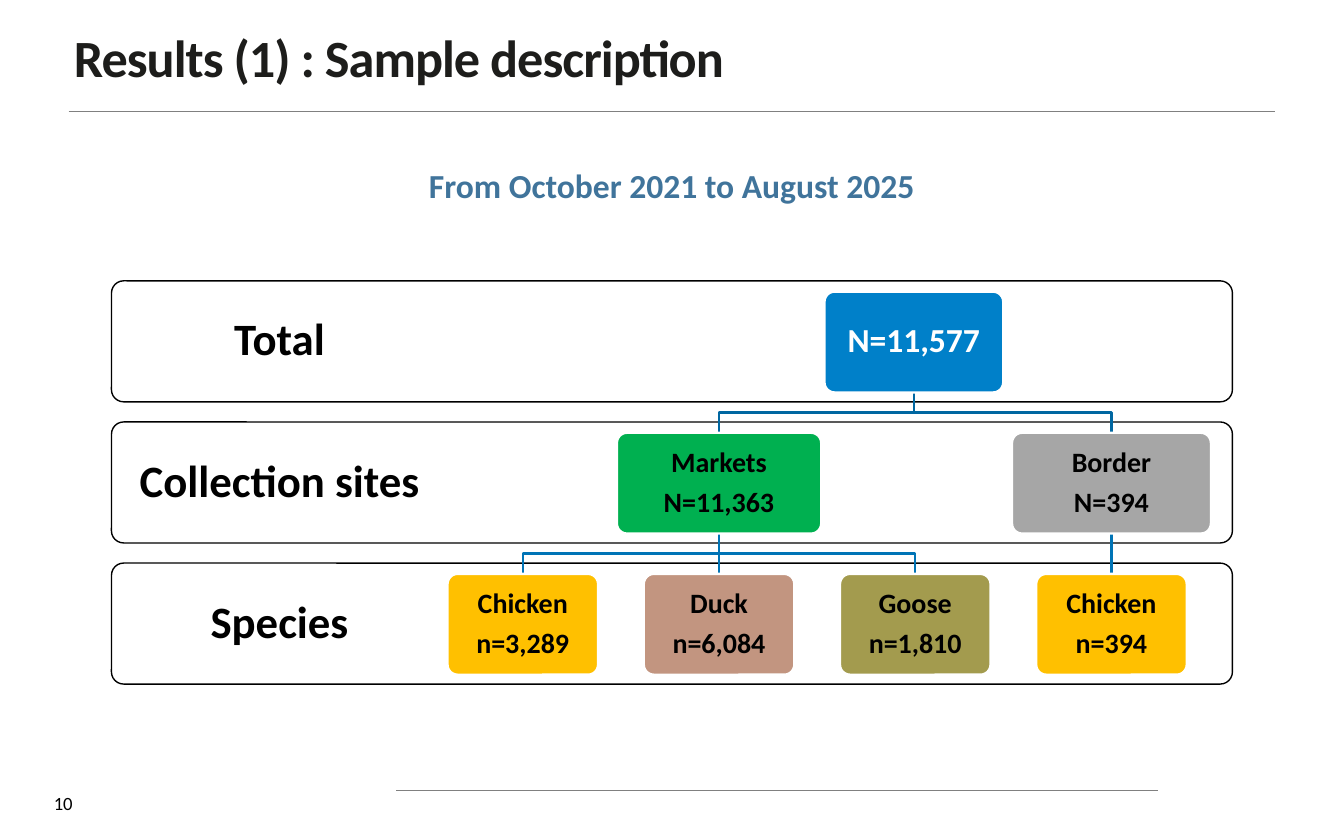
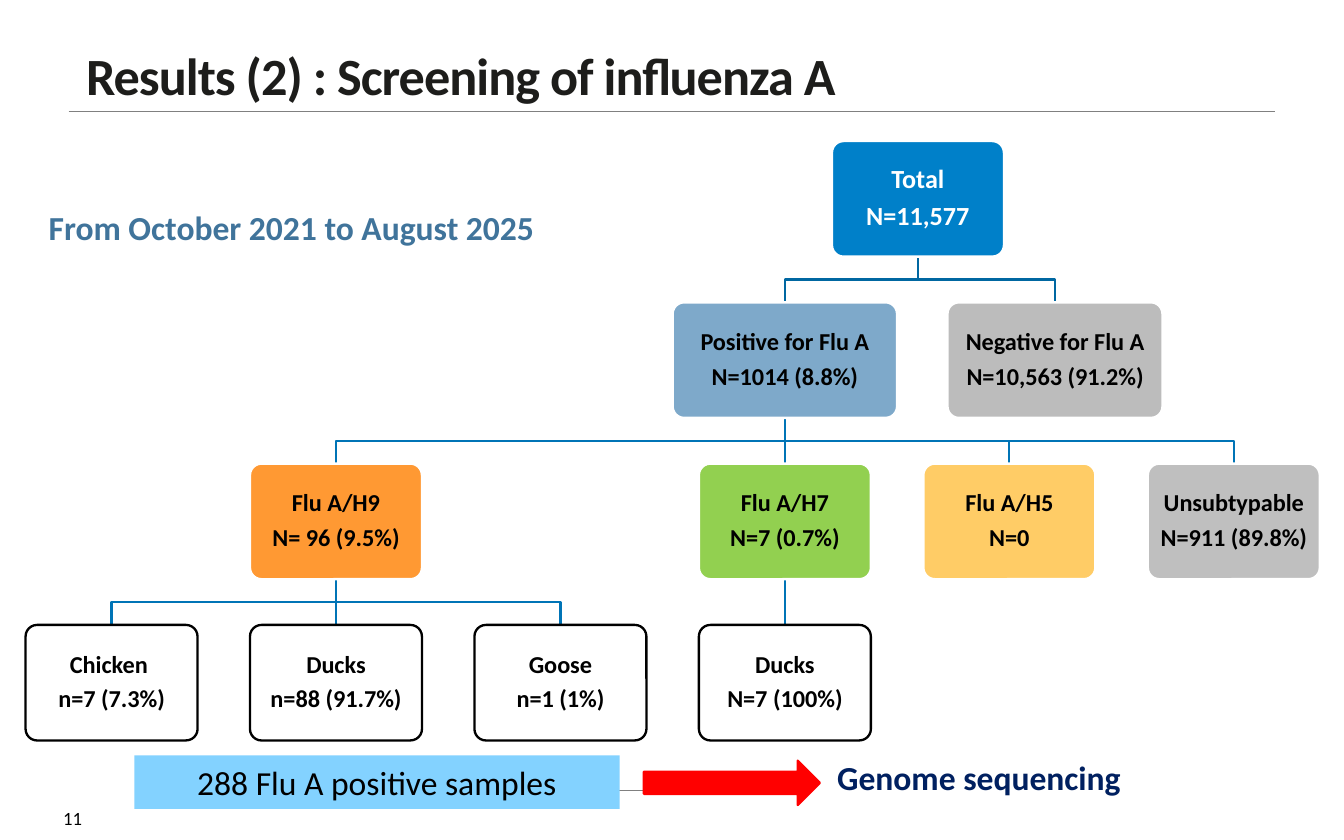
from lxml import etree
from pptx import Presentation
from pptx import util as u
from pptx.dml.color import RGBColor
from pptx.enum import shapes, text
from pptx.oxml import ns

COLORS = {
    "black": "000000", "white": "FFFFFF", "title": "1D1D1B", "rule": "808080",
    "period": "40749B", "navy": "002060", "root": "0080C9",
    "link_top": "0067A1", "link": "0074B6", "market": "00B050",
    "border": "A6A6A6", "chicken": "FFC000", "duck": "C29580", "goose": "A39B4E",
    "positive": "7EA9CA", "negative": "BCBCBC", "h9": "FF9933", "h7": "92D050",
    "h5": "FFCC66", "unsubtyped": "BFBFBF", "samples": "83D2FF", "arrow": "FF0000",
}
FONT = "Calibri"
PERIOD = "From October 2021 to August 2025"
ROUNDING = 0.1
MSO = shapes.MSO_SHAPE
ALIGN = text.PP_ALIGN
ANCHOR = text.MSO_ANCHOR


def rgb(name):
    return RGBColor.from_string(COLORS[name])


def set_all(obj, values):
    for name, value in values.items():
        setattr(obj, name, value)


def inches(*values):
    return [u.Inches(v) for v in values]


# Text and outlines
def write(sp, content, size, color="black", bold=True, align=ALIGN.CENTER,
          anchor=ANCHOR.MIDDLE, inset=None, spacing=None, after=0):
    """Fill a shape with one paragraph per line of content."""
    tf = sp.text_frame
    set_all(tf, {"word_wrap": True, "vertical_anchor": anchor,
                 "auto_size": text.MSO_AUTO_SIZE.NONE})
    if inset is not None:
        for side in ("left", "right", "top", "bottom"):
            setattr(tf, f"margin_{side}", u.Inches(inset))
    tf.text = content
    for p in tf.paragraphs:
        set_all(p, {"alignment": align, "line_spacing": spacing,
                    "space_after": u.Pt(after)})
        for r in p.runs:
            set_all(r.font, {"name": FONT, "size": u.Pt(size), "bold": bold})
            r.font.color.rgb = rgb(color)
    return tf


def paint(sp, fill=None, line=None, width=1.25):
    sp.shadow.inherit = False
    if fill:
        sp.fill.solid()
        sp.fill.fore_color.rgb = rgb(fill)
    else:
        sp.fill.background()
    if line:
        sp.line.color.rgb = rgb(line)
        sp.line.width = u.Pt(width)
    else:
        sp.line.fill.background()


# Basic elements
def add_line(s, x1, y1, x2, y2, color, width):
    cx = s.shapes.add_connector(shapes.MSO_CONNECTOR.STRAIGHT,
                                *inches(x1, y1, x2, y2))
    cx.line.color.rgb = rgb(color)
    cx.line.width = u.Pt(width)
    etree.SubElement(cx._element.spPr, ns.qn("a:effectLst"))


def add_box(s, kind, at, fill=None, line=None, width=1.25):
    sp = s.shapes.add_shape(kind, *inches(*at))
    if kind == MSO.ROUNDED_RECTANGLE:
        sp.adjustments[0] = ROUNDING
    paint(sp, fill, line, width)
    return sp


def add_text(s, at, content, size, **style):
    write(s.shapes.add_textbox(*inches(*at)), content, size, **style)


def add_link(s, x1, y1, x2, y2, color):
    """Join a parent's bottom to a child's top, bending halfway down."""
    if x1 == x2:
        add_line(s, x1, y1, x2, y2, color, 1.25)
        return
    middle = (y1 + y2) / 2
    fb = s.shapes.build_freeform(*inches(x1, y1))
    fb.add_line_segments([inches(x, y) for x, y in
                          ((x1, middle), (x2, middle), (x2, y2))], close=False)
    paint(fb.convert_to_shape(), line=color)


def add_tree(s, nodes, top, step, height, size, root_size):
    """Draw nodes given as key: (text, parent, level, centre, width, fill)."""
    for _, parent, level, x, _, _ in nodes.values():
        if parent:
            y = top + step * level
            add_link(s, nodes[parent][3], y - step + height, x, y,
                     "link_top" if level == 1 else "link")
    for content, parent, level, x, width, fill in nodes.values():
        sp = add_box(s, MSO.ROUNDED_RECTANGLE,
                     (x - width / 2, top + step * level, width, height),
                     fill, "white" if fill else "black")
        pt = size if parent else root_size
        write(sp, content, pt, "black" if parent else "white",
              inset=0.07, spacing=0.9, after=0.35 * pt)


# Shared frame: footer rule, title, title rule and page number
def add_slide(prs, title, title_at, number, number_at, title_bottom=0.05):
    s = prs.slides.add_slide(prs.slide_layouts[5])
    add_line(s, 2.95, 5.88, 8.62, 5.88, "rule", 0.5)
    sp = s.shapes.title
    set_all(sp, dict(zip(("left", "top", "width", "height"), inches(*title_at))))
    tf = write(sp, title, 28, "title", align=ALIGN.LEFT, anchor=ANCHOR.BOTTOM,
               spacing=0.85)
    tf.margin_bottom = u.Inches(title_bottom)
    tf.paragraphs[0].runs[0].font._element.set("spc", "-50")
    add_line(s, 0.51, 0.83, 9.49, 0.83, "rule", 0.25)
    add_text(s, number_at, number, 10, bold=False)
    return s


def add_period(s, left, top):
    add_text(s, (left, top, 3.98, 0.4), PERIOD, 18, color="period",
             anchor=ANCHOR.TOP)


def sample_slide(prs):
    s = add_slide(prs, "Results (1) : Sample description", (0.45, 0.14, 8.25, 1.03),
                  "10", (-0.07, 5.88, 1.08, 0.19), title_bottom=0.51)
    step = 1.05
    # Labelled bands
    for i, label in enumerate(("Total", "Collection sites", "Species")):
        top = 2.09 + step * i
        add_box(s, MSO.ROUNDED_RECTANGLE, (0.83, top, 8.34, 0.9),
                line="black", width=0.75)
        add_text(s, (0.83, top, 2.5, 0.9), label, 24, inset=0.19, spacing=0.9)
    # Sampling tree
    species = [3.89 + 1.46 * i for i in range(4)]
    nodes = {
        "total": ("N=11,577", None, 0, 6.8, 1.33, "root"),
        "markets": ("Markets\nN=11,363", "total", 1, species[1], 1.52, "market"),
        "border": ("Border\nN=394", "total", 1, species[3], 1.48, "border"),
    }
    leaves = (("Chicken\nn=3,289", "markets", "chicken"),
              ("Duck\nn=6,084", "markets", "duck"),
              ("Goose\nn=1,810", "markets", "goose"),
              ("Chicken\nn=394", "border", "chicken"))
    for x, (content, parent, fill) in zip(species, leaves):
        nodes[content] = (content, parent, 2, x, 1.12, fill)
    add_tree(s, nodes, 2.17, step, 0.75, size=15, root_size=18)
    add_period(s, 3.01, 1.18)


def screening_slide(prs):
    s = add_slide(prs, "Results (2) : Screening of influenza A",
                  (0.54, 0.2, 8.25, 0.64), "11", (0, 5.92, 1.08, 0.33))
    # Screening tree on six equal columns
    col = [0.83 + 1.67 * i for i in range(6)]
    w = 1.28
    nodes = {
        "total": ("Total\nN=11,577", None, 0, 6.83, w, "root"),
        "pos": ("Positive for Flu A\nN=1014 (8.8%)", "total", 1, col[3], 1.67,
                "positive"),
        "neg": ("Negative for Flu A\nN=10,563 (91.2%)", "total", 1, 7.85, 1.6,
                "negative"),
        "h9": ("Flu A/H9\nN= 96 (9.5%)", "pos", 2, col[1], w, "h9"),
        "h7": ("Flu A/H7\nN=7 (0.7%)", "pos", 2, col[3], w, "h7"),
        "h5": ("Flu A/H5\nN=0", "pos", 2, col[4], w, "h5"),
        "other": ("Unsubtypable\nN=911 (89.8%)", "pos", 2, col[5], w, "unsubtyped"),
        "h9_chicken": ("Chicken \nn=7 (7.3%)", "h9", 3, col[0], w, None),
        "h9_ducks": ("Ducks\nn=88 (91.7%)", "h9", 3, col[1], w, None),
        "h9_goose": ("Goose\nn=1 (1%)", "h9", 3, col[2], w, None),
        "h7_ducks": ("Ducks\nN=7 (100%)", "h7", 3, col[3], w, None),
    }
    add_tree(s, nodes, 1.05, 1.2, 0.86, size=13, root_size=14)
    # Next step: sequencing
    write(add_box(s, MSO.RECTANGLE, (5.63, 5.58, 3.31, 0.4), "white"),
          "Genome sequencing", 18, "navy")
    add_box(s, MSO.RIGHT_ARROW, (4.79, 5.66, 1.31, 0.33), "arrow", "arrow")
    add_period(s, 0.18, 1.49)
    write(add_box(s, MSO.RECTANGLE, (1, 5.62, 3.61, 0.4), "samples"),
          "288 Flu A positive samples", 18, bold=False)


def main():
    prs = Presentation()
    prs.slide_width, prs.slide_height = inches(10, 6.25)
    sample_slide(prs)
    screening_slide(prs)
    prs.save("out.pptx")


if __name__ == "__main__":
    main()
